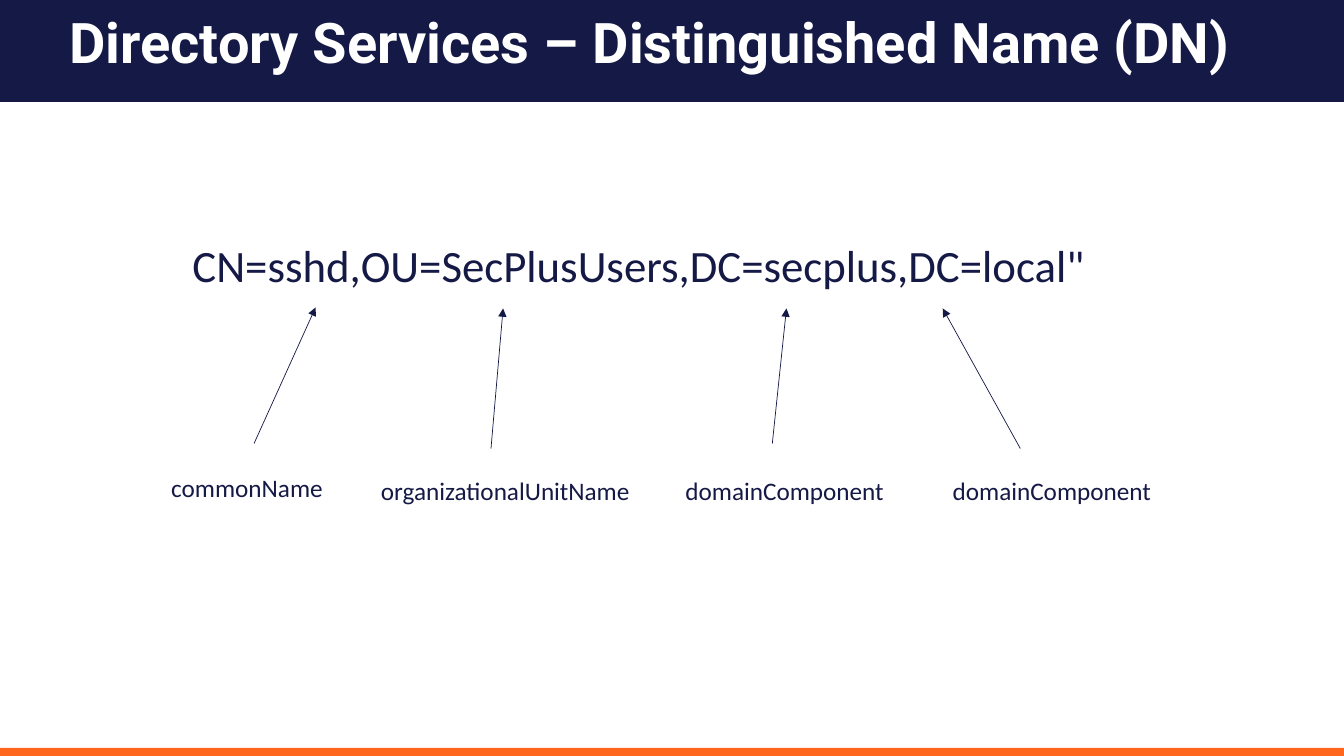
from dataclasses import dataclass

from lxml import etree
from pptx import Presentation
from pptx.dml.color import RGBColor
from pptx.enum.shapes import MSO_CONNECTOR, MSO_SHAPE
from pptx.enum.text import MSO_ANCHOR, MSO_AUTO_SIZE
from pptx.oxml.ns import qn
from pptx.slide import Slide
from pptx.util import Inches, Pt

RECTANGLE = MSO_SHAPE.RECTANGLE
STRAIGHT = MSO_CONNECTOR.STRAIGHT
TOP = MSO_ANCHOR.TOP
MIDDLE = MSO_ANCHOR.MIDDLE
NO_AUTO_SIZE = MSO_AUTO_SIZE.NONE
FIT_SHAPE = MSO_AUTO_SIZE.SHAPE_TO_FIT_TEXT

SLIDE_WIDTH = 13.33
SLIDE_HEIGHT = 7.5
HEADER_HEIGHT = 1.01
FOOTER_HEIGHT = 0.08
LABEL_HEIGHT = 0.4


@dataclass(frozen=True)
class Theme:
    navy: RGBColor = RGBColor(0x15, 0x19, 0x45)
    orange: RGBColor = RGBColor(0xFF, 0x67, 0x1F)
    white: RGBColor = RGBColor(0xFF, 0xFF, 0xFF)
    title_font: str = "Roboto"
    body_font: str = "Calibri"
    title_size: int = 40
    name_size: int = 32
    label_size: int = 18
    arrow_width: float = 0.5


@dataclass(frozen=True)
class Box:
    left: float
    top: float
    width: float
    height: float


@dataclass(frozen=True)
class Point:
    x: float
    y: float


@dataclass(frozen=True)
class Component:
    label: str
    box: Box
    arrow_start: Point
    arrow_tip: Point


THEME = Theme()

COMPONENTS = [
    Component("commonName", Box(1.6, 4.64, 1.72, LABEL_HEIGHT),
              Point(2.52, 4.4), Point(3.13, 3.05)),
    Component("organizationalUnitName", Box(3.68, 4.67, 2.7, LABEL_HEIGHT),
              Point(4.87, 4.45), Point(4.99, 3.06)),
    Component("domainComponent", Box(6.7, 4.67, 2.19, LABEL_HEIGHT),
              Point(7.66, 4.4), Point(7.8, 3.06)),
    Component("domainComponent", Box(9.35, 4.67, 2.19, LABEL_HEIGHT),
              Point(10.12, 4.45), Point(9.35, 3.06)),
]


def add_band(slide: Slide, box: Box, color: RGBColor) -> None:
    shape = slide.shapes.add_shape(
        RECTANGLE, Inches(box.left), Inches(box.top), Inches(box.width), Inches(box.height))
    shape.shadow.inherit = False
    shape.fill.solid()
    shape.fill.fore_color.rgb = color
    shape.line.fill.background()


def add_text(slide: Slide, text: str, box: Box, *, size: int,
             font: str = THEME.body_font, color: RGBColor = THEME.navy,
             bold: bool = False, wrap: bool = False, anchor: MSO_ANCHOR = TOP,
             auto_size: MSO_AUTO_SIZE = FIT_SHAPE, line_spacing: float = 1.0) -> None:
    shape = slide.shapes.add_textbox(
        Inches(box.left), Inches(box.top), Inches(box.width), Inches(box.height))
    frame = shape.text_frame
    frame.word_wrap = wrap
    frame.auto_size = auto_size
    frame.vertical_anchor = anchor
    paragraph = frame.paragraphs[0]
    paragraph.line_spacing = line_spacing
    run = paragraph.add_run()
    run.text = text
    run.font.name = font
    run.font.size = Pt(size)
    run.font.bold = bold
    run.font.color.rgb = color


def add_arrow(slide: Slide, start: Point, tip: Point) -> None:
    connector = slide.shapes.add_connector(
        STRAIGHT, Inches(start.x), Inches(start.y), Inches(tip.x), Inches(tip.y))
    connector.line.color.rgb = THEME.navy
    connector.line.width = Pt(THEME.arrow_width)
    properties = connector.line._get_or_add_ln()
    etree.SubElement(properties, qn("a:tailEnd"), type="triangle")
    etree.SubElement(connector._element.spPr, qn("a:effectLst"))


def add_component(slide: Slide, component: Component) -> None:
    add_text(slide, component.label, component.box, size=THEME.label_size)
    add_arrow(slide, component.arrow_start, component.arrow_tip)


def main() -> None:
    presentation = Presentation()
    presentation.slide_width = Inches(SLIDE_WIDTH)
    presentation.slide_height = Inches(SLIDE_HEIGHT)
    slide = presentation.slides.add_slide(presentation.slide_layouts[6])
    slide.background.fill.solid()
    slide.background.fill.fore_color.rgb = THEME.white

    add_band(slide, Box(0, 0, SLIDE_WIDTH, HEADER_HEIGHT), THEME.navy)
    add_band(slide, Box(0, SLIDE_HEIGHT - FOOTER_HEIGHT, SLIDE_WIDTH, FOOTER_HEIGHT),
             THEME.orange)
    add_text(slide, "Directory Services – Distinguished Name (DN)",
             Box(0.59, -0.12, 12.22, 1.14), size=THEME.title_size,
             font=THEME.title_font, color=THEME.white, bold=True, wrap=True,
             anchor=MIDDLE, auto_size=NO_AUTO_SIZE, line_spacing=0.9)
    add_text(slide, 'CN=sshd,OU=SecPlusUsers,DC=secplus,DC=local"',
             Box(1.81, 2.31, 9.15, 0.64), size=THEME.name_size)
    for component in COMPONENTS:
        add_component(slide, component)

    presentation.save("out.pptx")


if __name__ == "__main__":
    main()
